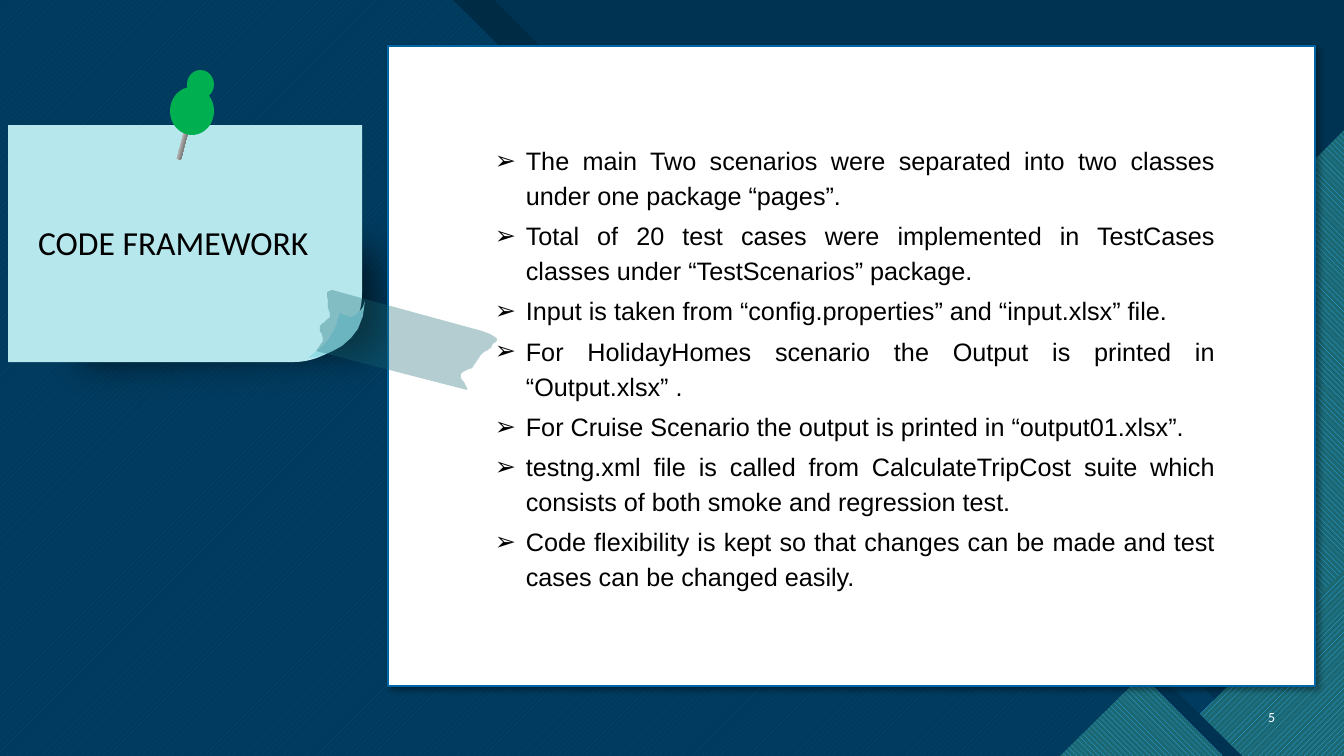
from dataclasses import dataclass
from lxml.etree import SubElement
from pptx import Presentation
from pptx.dml.color import RGBColor
from pptx.enum.dml import MSO_PATTERN
from pptx.enum.shapes import MSO_SHAPE
from pptx.enum.text import MSO_ANCHOR, MSO_AUTO_SIZE, PP_ALIGN
from pptx.oxml import parse_xml
from pptx.oxml.ns import nsdecls, qn
from pptx.util import Pt


@dataclass(frozen=True)
class Theme:
    navy: str = "003352"
    blue: str = "0065A4"
    teal: str = "1B6872"
    sky: str = "2FAFFF"
    aqua: str = "47C3D3"
    note: str = "B5E7ED"
    fold: str = "91DBE5"
    pin: str = "00B050"
    white: str = "FFFFFF"
    black: str = "000000"
    head: str = "Calibri"
    body: str = "Arial"
    big: int = 24
    mid: int = 18
    small: int = 10


T = Theme()
UP = MSO_PATTERN.WIDE_UPWARD_DIAGONAL
DOWN = MSO_PATTERN.WIDE_DOWNWARD_DIAGONAL
PX = 914400 / 100.8
WIDE, HIGH = 1344, 756

TITLE = "CODE FRAMEWORK"
NUMBER = "5"
POINTS = [
    "The main Two scenarios were separated into two classes under one package “pages”.",
    "Total of 20 test cases were implemented in TestCases classes under “TestScenarios” package.",
    "Input is taken from “config.properties” and “input.xlsx” file.",
    "For HolidayHomes scenario the Output is printed in “Output.xlsx” .",
    "For Cruise Scenario the output is printed in “output01.xlsx”.",
    "testng.xml file is called from CalculateTripCost suite which consists of both smoke and regression test.",
    "Code flexibility is kept so that changes can be made and test cases can be changed easily.",
]

BACKDROP = [
    ([(42, 0), (494, 0), (794, 299), (921, 299), (1344, 723), (1344, 756), (42, 756)], T.black),
    ([(0, 0), (453, 0), (752, 299), (879, 299), (1336, 756), (0, 756)], (UP, T.aqua, T.blue)),
    ([(0, 0), (700, 0), (1000, 299), (1127, 299), (1344, 517), (1344, 756), (0, 756)], (T.navy, 85)),
    ([(1344, 156), (1344, 714), (1230, 714), (1008, 492)], T.navy),
    ([(1344, 130), (1344, 743), (1315, 743), (1023, 451)], (DOWN, T.sky, T.teal)),
    ([(1344, 619), (1344, 756), (1207, 756)], T.navy),
    ([(1344, 571), (1344, 756), (1158, 756)], (UP, T.sky, T.teal)),
    ([(1242, 756), (1159, 674), (1078, 756)], T.navy),
    ([(1060, 756), (1142, 675), (1223, 756)], (DOWN, T.sky, T.teal)),
]
FOLD = [(365, 301), (359, 319, 350, 319, 340, 313), (333, 329, 340, 334, 308, 358),
        (326, 356, 363, 346, 365, 301)]
NECK = [(182, 108), (198, 80), (207, 83), (202, 115), (190, 118, 188, 115, 182, 108)]
TAPE = [(467, 390), (316, 351), (323, 341), (324, 337, 319, 332, 320, 328),
        (320, 323, 329, 320, 330, 317), (331, 313, 328, 309, 328, 307),
        (328, 306, 327, 293, 327, 292), (332, 290), (482, 331),
        (509, 340, 492, 342, 492, 345), (492, 349, 484, 351, 481, 355),
        (478, 358, 475, 363, 473, 367), (471, 370, 462, 370, 461, 374),
        (459, 378, 468, 386, 467, 390)]
STEEL = [(0, "808080"), (26, "F2F2F2"), (57, "808080"), (83, "FFFFFF"), (100, "808080")]


def emu(*vals):
    return [round(v * PX) for v in vals]


def color(code):
    return RGBColor.from_string(code)


def paint(shape, look):
    shape.shadow.inherit = False
    shape.line.fill.background()
    fill = shape.fill
    if isinstance(look, tuple) and len(look) == 3:
        fill.patterned()
        fill.pattern = look[0]
        fill.fore_color.rgb, fill.back_color.rgb = color(look[1]), color(look[2])
        return shape
    code, alpha = look if isinstance(look, tuple) else (look, 100)
    fill.solid()
    fill.fore_color.rgb = color(code)
    if alpha < 100:
        tint = shape.element.spPr.find(".//" + qn("a:srgbClr"))
        SubElement(tint, qn("a:alpha"), val=str(alpha * 1000))
    return shape


def trace(steps, cuts=8):
    spots = [steps[0]]
    for step in steps[1:]:
        if len(step) == 2:
            spots.append(step)
            continue
        start = spots[-1]
        knots = [start, step[:2], step[2:4], step[4:]]
        for cut in range(1, cuts + 1):
            t = cut / cuts
            mix = [(1 - t) ** 3, 3 * t * (1 - t) ** 2, 3 * t * t * (1 - t), t ** 3]
            spots.append(tuple(sum(m * k[i] for m, k in zip(mix, knots)) for i in (0, 1)))
    return spots


def outline(shapes, steps, look):
    spots = trace(steps)
    pen = shapes.build_freeform(*spots[0], scale=PX)
    pen.add_line_segments(spots[1:], close=True)
    return paint(pen.convert_to_shape(), look)


def block(shapes, kind, box, look, turn=0):
    shape = shapes.add_shape(kind, *emu(*box))
    shape.rotation = turn
    return paint(shape, look)


def effect(shape, inner):
    holder = shape.element.spPr.find(qn("a:effectLst"))
    holder.append(parse_xml(inner.replace(" ", f" {nsdecls('a')} ", 1)))


def style(para, face, size, code, align):
    para.alignment = align
    para.font.name, para.font.size = face, Pt(size)
    para.font.color.rgb = color(code)


def bullet(para):
    props = para._p.get_or_add_pPr()
    props.set("marL", str(emu(31)[0]))
    props.set("indent", str(emu(-31)[0]))
    tint = SubElement(props, qn("a:buClr"))
    SubElement(tint, qn("a:srgbClr"), val=T.black)
    SubElement(props, qn("a:buFont"), typeface=T.body)
    SubElement(props, qn("a:buChar"), char="➢")


def label(shapes, box):
    frame = shapes.add_textbox(*emu(*box)).text_frame
    frame.word_wrap = True
    return frame


def main():
    deck = Presentation()
    deck.slide_width, deck.slide_height = emu(WIDE, HIGH)
    slide = deck.slides.add_slide(deck.slide_layouts[5])
    shapes = slide.shapes
    back = slide.background.fill
    back.solid()
    back.fore_color.rgb = color(T.navy)

    for steps, look in BACKDROP:
        outline(shapes, steps, look)

    frame = label(shapes, (1241, 697, 44, 40))
    frame.vertical_anchor = MSO_ANCHOR.MIDDLE
    frame.text = NUMBER
    style(frame.paragraphs[0], T.head, T.small, T.white, PP_ALIGN.RIGHT)

    shade = block(shapes, MSO_SHAPE.RECTANGLE, (17, 193, 422, 226), (T.black, 56), 357.3)
    effect(shade, '<a:softEdge rad="406400"/>')
    note = block(shapes, MSO_SHAPE.SNIP_ROUND_RECTANGLE, (8, 125, 354, 237), T.note, 180)
    note.adjustments[0], note.adjustments[1] = 0.29, 0
    outline(shapes, FOLD, T.fold)

    panel = block(shapes, MSO_SHAPE.RECTANGLE, (388, 46, 927, 640), T.white)
    panel.line.color.rgb = color(T.blue)
    panel.line.width = Pt(1)
    effect(panel, '<a:outerShdw blurRad="50800" dist="38100" dir="2700000">'
           f'<a:srgbClr val="{T.black}"><a:alpha val="40000"/></a:srgbClr></a:outerShdw>')

    needle = block(shapes, MSO_SHAPE.RECTANGLE, (183, 112, 4, 48), T.white, 14.7)
    stops = "".join(f'<a:gs pos="{at * 1000}"><a:srgbClr val="{code}"/></a:gs>' for at, code in STEEL)
    props = needle.element.spPr
    props.replace(props.find(qn("a:solidFill")), parse_xml(
        f'<a:gradFill {nsdecls("a")}><a:gsLst>{stops}</a:gsLst><a:lin ang="0"/></a:gradFill>'))
    block(shapes, MSO_SHAPE.OVAL, (170, 87, 44, 48), T.pin)
    outline(shapes, NECK, T.pin)
    block(shapes, MSO_SHAPE.OVAL, (187, 70, 27, 29), T.pin)

    frame = label(shapes, (485, 136, 740, 531))
    for row, text in enumerate(POINTS):
        para = frame.add_paragraph() if row else frame.paragraphs[0]
        para.text = text
        bullet(para)
        para.line_spacing = 1.15
        if row:
            para.space_before = Pt(4)
        style(para, T.body, T.mid, T.black, PP_ALIGN.JUSTIFY)

    title = shapes.title
    title.left, title.top, title.width, title.height = emu(28, 217, 318, 50)
    title.element.getparent().append(title.element)
    frame = title.text_frame
    frame.text = TITLE
    frame.word_wrap = True
    frame.auto_size = MSO_AUTO_SIZE.NONE
    frame.vertical_anchor = MSO_ANCHOR.TOP
    style(frame.paragraphs[0], T.head, T.big, T.black, PP_ALIGN.LEFT)

    outline(shapes, TAPE, (T.teal, 33))
    deck.save("out.pptx")


if __name__ == "__main__":
    main()
